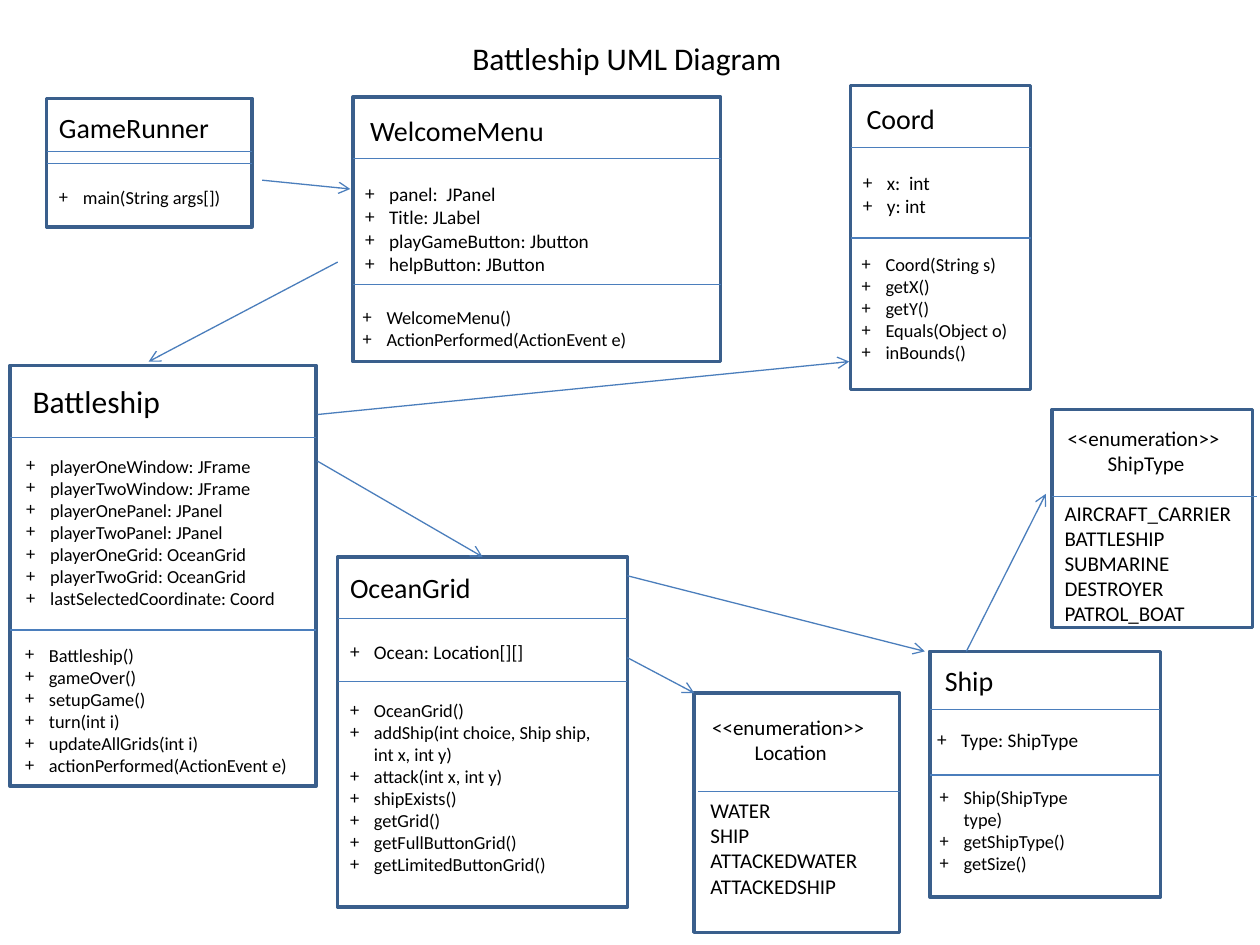
from pptx import Presentation
from pptx.dml.color import RGBColor
from pptx.enum.shapes import MSO_CONNECTOR as Connector, MSO_SHAPE as Shape
from pptx.enum.text import MSO_AUTO_SIZE as AutoSize, PP_ALIGN as Align
from pptx.oxml.ns import qn
from pptx.util import Inches, Pt
from lxml.etree import SubElement

COLORS = {"border": "3A5F8C", "line": "4B7EBC", "text": "000000"}


class Diagram:
    font = "Calibri"
    indent = 0.19

    def __init__(self, page):
        self.page = page
        self.shapes = page.shapes

    def color(self, name):
        return RGBColor.from_string(COLORS[name])

    def text(self, area, lines, size, bullet=False, align=Align.LEFT, wrap=True):
        box = self.shapes.add_textbox(*map(Inches, area))
        frame = box.text_frame
        frame.word_wrap = wrap
        frame.auto_size = AutoSize.SHAPE_TO_FIT_TEXT
        style = {"name": self.font, "size": Pt(size)}
        for index, line in enumerate(lines):
            para = frame.paragraphs[0] if index == 0 else frame.add_paragraph()
            para.text = line
            para.alignment = align
            for span in para.runs:
                for key, value in style.items():
                    setattr(span.font, key, value)
                span.font.color.rgb = self.color("text")
            if bullet:
                self.bullet(para)

    def bullet(self, para):
        props = para._p.get_or_add_pPr()
        props.set("marL", str(Inches(self.indent)))
        props.set("indent", str(-Inches(self.indent)))
        SubElement(props, qn("a:buFont"), typeface=self.font)
        SubElement(props, qn("a:buChar"), char="+")

    def frame(self, area):
        shape = self.shapes.add_shape(Shape.RECTANGLE, *map(Inches, area))
        shape.shadow.inherit = False
        shape.fill.background()
        shape.line.color.rgb = self.color("border")
        shape.line.width = Pt(2)

    def line(self, ends, arrow=False):
        line = self.shapes.add_connector(Connector.STRAIGHT, *map(Inches, ends))
        line.line.color.rgb = self.color("line")
        line.line.width = Pt(0.75)
        props = line._element.spPr
        if arrow:
            SubElement(props.find(qn("a:ln")), qn("a:tailEnd"), type="arrow")
        SubElement(props, qn("a:effectLst"))

    def uml_class(self, area, heading, heading_area, size, rules, sections,
                  enum=False, rule_ends=None):
        self.shapes = self.page.shapes.add_group_shape().shapes
        self.frame(area)
        left, right = rule_ends or (area[0], area[0] + area[2])
        for y in rules:
            self.line((left, y, right, y))
        lines = ["<<enumeration>> ", heading] if enum else [heading]
        self.text(heading_area, lines, size, align=Align.CENTER if enum else Align.LEFT)
        for section_area, section_size, members in sections:
            self.text(section_area, members, section_size, bullet=not enum)
        self.shapes = self.page.shapes


CLASSES = [
    dict(area=(2.8, 0.77, 2.92, 2.1), heading="WelcomeMenu",
         heading_area=(2.84, 0.85, 2, 0.37), size=16, rules=(1.26, 2.26), sections=[
             ((2.8, 1.4, 2.24, 0.84), 11, ["panel:  JPanel", "Title: JLabel",
                                           "playGameButton: Jbutton", "helpButton: JButton"]),
             ((2.78, 2.38, 2.36, 0.8), 10.5, ["WelcomeMenu()", "ActionPerformed(ActionEvent e)"])]),
    dict(area=(0.08, 2.9, 2.43, 3.34), heading="Battleship",
         heading_area=(0.16, 2.98, 1.45, 0.4), size=18, rules=(3.47, 5), sections=[
             ((0.11, 3.56, 2.5, 1.34), 10.5, [
                 "playerOneWindow: JFrame", "playerTwoWindow: JFrame", "playerOnePanel: JPanel",
                 "playerTwoPanel: JPanel", "playerOneGrid: OceanGrid", "playerTwoGrid: OceanGrid",
                 "lastSelectedCoordinate: Coord"]),
             ((0.1, 5.06, 2.42, 1.16), 10.5, [
                 "Battleship()", "gameOver()", "setupGame()", "turn(int i)",
                 "updateAllGrids(int i)", "actionPerformed(ActionEvent e)"])]),
    dict(area=(2.68, 4.42, 2.3, 2.78), heading="OceanGrid",
         heading_area=(2.68, 4.48, 2, 0.37), size=16, rules=(4.91, 5.41), sections=[
             ((2.68, 5.03, 2.24, 0.29), 11, ["Ocean: Location[][]"]),
             ((2.68, 5.5, 2.17, 1.69), 10.5, [
                 "OceanGrid()", "addShip(int choice, Ship ship, int x, int y)",
                 "attack(int x, int y)", "shipExists()", "getGrid()",
                 "getFullButtonGrid()", "getLimitedButtonGrid()"])]),
    dict(area=(0.37, 0.78, 1.63, 1.02), heading="GameRunner",
         heading_area=(0.37, 0.83, 1.63, 0.37), size=16, rules=(1.2, 1.3), sections=[
             ((0.37, 1.43, 1.63, 0.45), 10.5, ["main(String args[])"])]),
    dict(area=(7.38, 5.17, 1.83, 1.95), heading="Ship",
         heading_area=(7.4, 5.22, 1.77, 0.37), size=16, rules=(5.63, 6.15), sections=[
             ((7.34, 5.73, 1.43, 0.29), 11, ["Type: ShipType"]),
             ((7.36, 6.19, 1.53, 0.98), 10.5, ["Ship(ShipType type)", "getShipType()", "getSize()"])]),
    dict(area=(8.35, 3.25, 1.59, 1.73), heading="ShipType", enum=True,
         heading_area=(8.35, 3.33, 1.49, 0.5), size=12, rules=(3.94,), rule_ends=(8.35, 9.98),
         sections=[((8.35, 3.92, 1.59, 1.31), 12, ["AIRCRAFT_CARRIER", "BATTLESHIP", "SUBMARINE",
                                                   "DESTROYER\vPATROL_BOAT"])]),
    dict(area=(5.51, 5.5, 1.63, 1.9), heading="Location", enum=True,
         heading_area=(5.54, 5.62, 1.47, 0.5), size=12, rules=(6.28,), rule_ends=(5.54, 7.14),
         sections=[((5.54, 6.28, 1.49, 1.11), 12, ["WATER", "SHIP", "ATTACKEDWATER",
                                                   "ATTACKEDSHIP"])]),
    dict(area=(6.75, 0.68, 1.43, 2.41), heading="Coord",
         heading_area=(6.78, 0.76, 0.83, 0.37), size=16, rules=(1.17, 1.89), sections=[
             ((6.75, 1.31, 1.29, 0.47), 11, ["x:  int", "y: int"]),
             ((6.74, 1.96, 1.44, 0.98), 10.5, ["Coord(String s)", "getX()", "getY()",
                                               "Equals(Object o)", "inBounds()"])]),
]

ARROWS = [
    (2.08, 1.43, 2.78, 1.5), (2.68, 2.08, 1.18, 2.87), (2.52, 3.66, 3.83, 4.42),
    (4.98, 4.57, 7.34, 5.17), (4.98, 5.22, 5.51, 5.5), (2.52, 3.29, 6.74, 2.87),
    (7.67, 5.17, 8.3, 3.92),
]

deck = Presentation()
deck.slide_width, deck.slide_height = Inches(10), Inches(7.5)
diagram = Diagram(deck.slides.add_slide(deck.slide_layouts[6]))
diagram.text((3.65, 0.26, 2.69, 0.4), ["Battleship UML Diagram"], 18, wrap=False)
for uml in CLASSES:
    diagram.uml_class(**uml)
for ends in ARROWS:
    diagram.line(ends, arrow=True)
deck.save("out.pptx")
